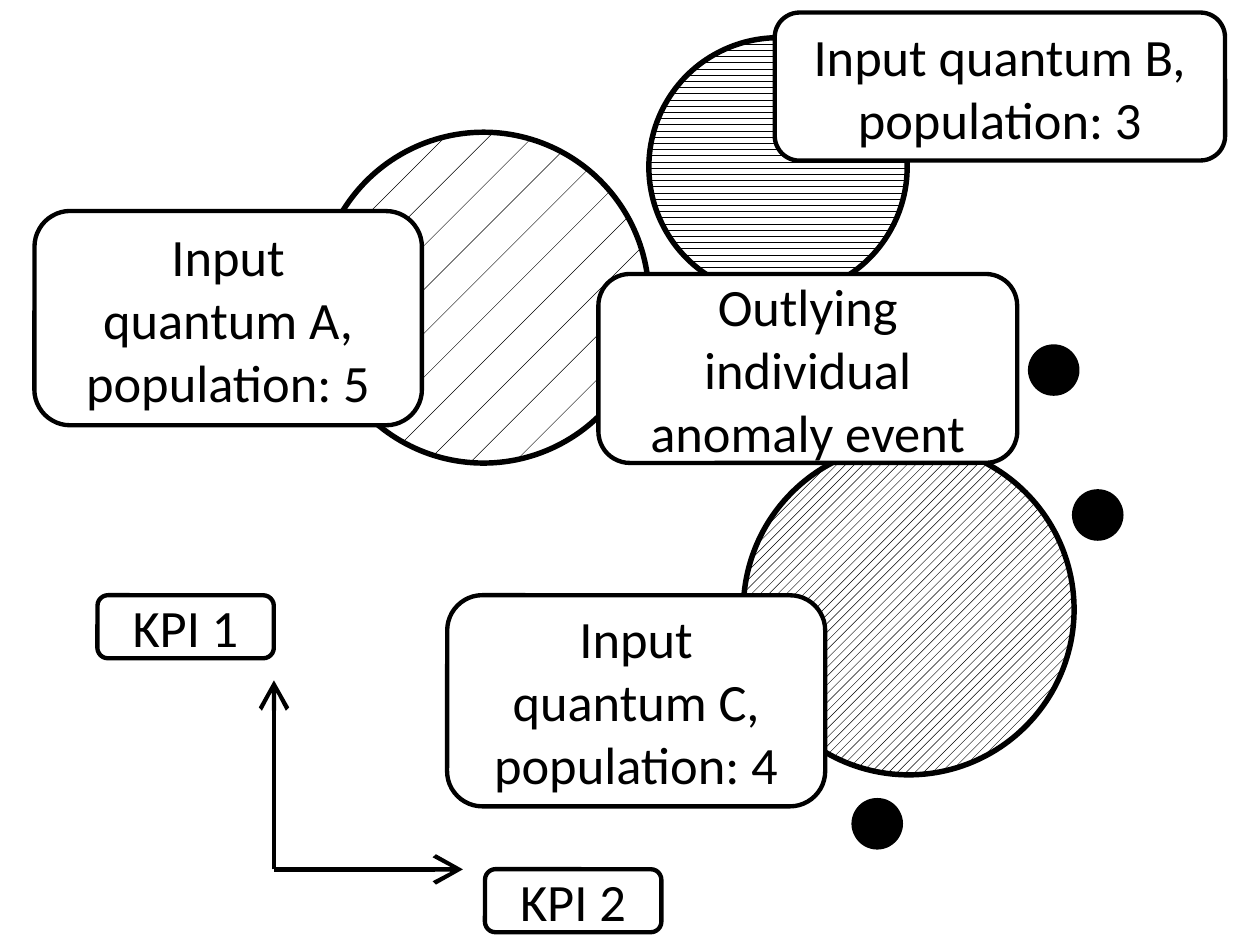
from lxml import etree
from pptx import Presentation
from pptx.dml.color import RGBColor
from pptx.enum.dml import MSO_PATTERN
from pptx.enum.shapes import MSO_CONNECTOR, MSO_SHAPE
from pptx.enum.text import MSO_ANCHOR, PP_ALIGN
from pptx.oxml.ns import qn
from pptx.util import Inches, Pt

COLORS = {"ink": "000000", "paper": "FFFFFF"}
FONT = "Calibri"
LABEL = MSO_SHAPE.ROUNDED_RECTANGLE
CIRCLE = MSO_SHAPE.OVAL
DOT = MSO_SHAPE.FLOWCHART_CONNECTOR
STRAIGHT = MSO_CONNECTOR.STRAIGHT
SPARSE = MSO_PATTERN.PERCENT_5
HORIZONTAL = MSO_PATTERN.LIGHT_HORIZONTAL
DIAGONAL = MSO_PATTERN.LIGHT_UPWARD_DIAGONAL
MIDDLE = MSO_ANCHOR.MIDDLE
CENTER = PP_ALIGN.CENTER


def color(name):
    return RGBColor.from_string(COLORS[name])


def add_outlined(slide, kind, left, top, width, height, line_width=1):
    shape = slide.shapes.add_shape(
        kind, Inches(left), Inches(top), Inches(width), Inches(height))
    shape.shadow.inherit = False
    shape.line.color.rgb = color("ink")
    shape.line.width = Pt(line_width)
    return shape


def add_label(slide, text, left, top, width, height):
    shape = add_outlined(slide, LABEL, left, top, width, height)
    shape.fill.solid()
    shape.fill.fore_color.rgb = color("paper")
    frame = shape.text_frame
    frame.word_wrap = True
    frame.vertical_anchor = MIDDLE
    frame.margin_left = frame.margin_right = Inches(0.08)
    frame.text = text
    paragraph = frame.paragraphs[0]
    paragraph.alignment = CENTER
    for run in paragraph.runs:
        run.font.name = FONT
        run.font.size = Pt(12)
        run.font.color.rgb = color("ink")


def add_arrow(slide, start_x, start_y, end_x, end_y):
    connector = slide.shapes.add_connector(
        STRAIGHT, Inches(start_x), Inches(start_y), Inches(end_x), Inches(end_y))
    connector.line.color.rgb = color("ink")
    connector.line.width = Pt(1)
    etree.SubElement(connector.line._get_or_add_ln(), qn("a:tailEnd"), type="arrow")
    etree.SubElement(connector._element.spPr, qn("a:effectLst"))


def add_axes(slide, left, top, length):
    """Draw the two KPI axes; left and top locate the KPI 1 label."""
    label_width, label_height = 0.56, 0.2
    origin_x, origin_y = left + label_width, top + 0.87
    add_label(slide, "KPI 1", left, top, label_width, label_height)
    add_arrow(slide, origin_x, origin_y, origin_x, origin_y - length)
    add_label(slide, "KPI 2", origin_x + length + 0.07, origin_y,
              label_width, label_height)
    add_arrow(slide, origin_x, origin_y, origin_x + length, origin_y)


def add_clusters(slide, left, top):
    for x, y, size, pattern in (
        (0, 0.3, 1.05, SPARSE),
        (1.05, 0, 0.82, HORIZONTAL),
        (1.35, 1.29, 1.05, DIAGONAL),
    ):
        circle = add_outlined(slide, CIRCLE, left + x, top + y, size, size, 1.25)
        circle.fill.patterned()
        circle.fill.pattern = pattern
        circle.fill.fore_color.rgb = color("ink")
        circle.fill.back_color.rgb = color("paper")


def add_outliers(slide, left, top):
    size = 0.15
    for x, y in ((0.56, 0), (0, 1.44), (0.7, 0.46)):
        dot = add_outlined(slide, DOT, left + x, top + y, size, size)
        dot.fill.solid()
        dot.fill.fore_color.rgb = color("ink")


def add_cluster_labels(slide, left, top):
    for text, x, y, width, height in (
        ("Outlying individual\vanomaly event", 1.79, 0.83, 1.33, 0.6),
        ("Input quantum A,\vpopulation: 5", 0, 0.63, 1.23, 0.68),
        ("Input quantum B,\vpopulation: 3", 2.35, 0, 1.43, 0.47),
        ("Input quantum C,\vpopulation: 4", 1.31, 1.85, 1.2, 0.67),
    ):
        add_label(slide, text, left + x, top + y, width, height)


def main():
    presentation = Presentation()
    presentation.slide_width = Inches(4)
    presentation.slide_height = Inches(3)
    slide = presentation.slides.add_slide(presentation.slide_layouts[6])
    add_axes(slide, 0.31, 1.89, 0.6)
    add_clusters(slide, 1.01, 0.12)
    add_outliers(slide, 2.71, 1.1)
    add_cluster_labels(slide, 0.11, 0.04)
    presentation.save("out.pptx")


if __name__ == "__main__":
    main()
